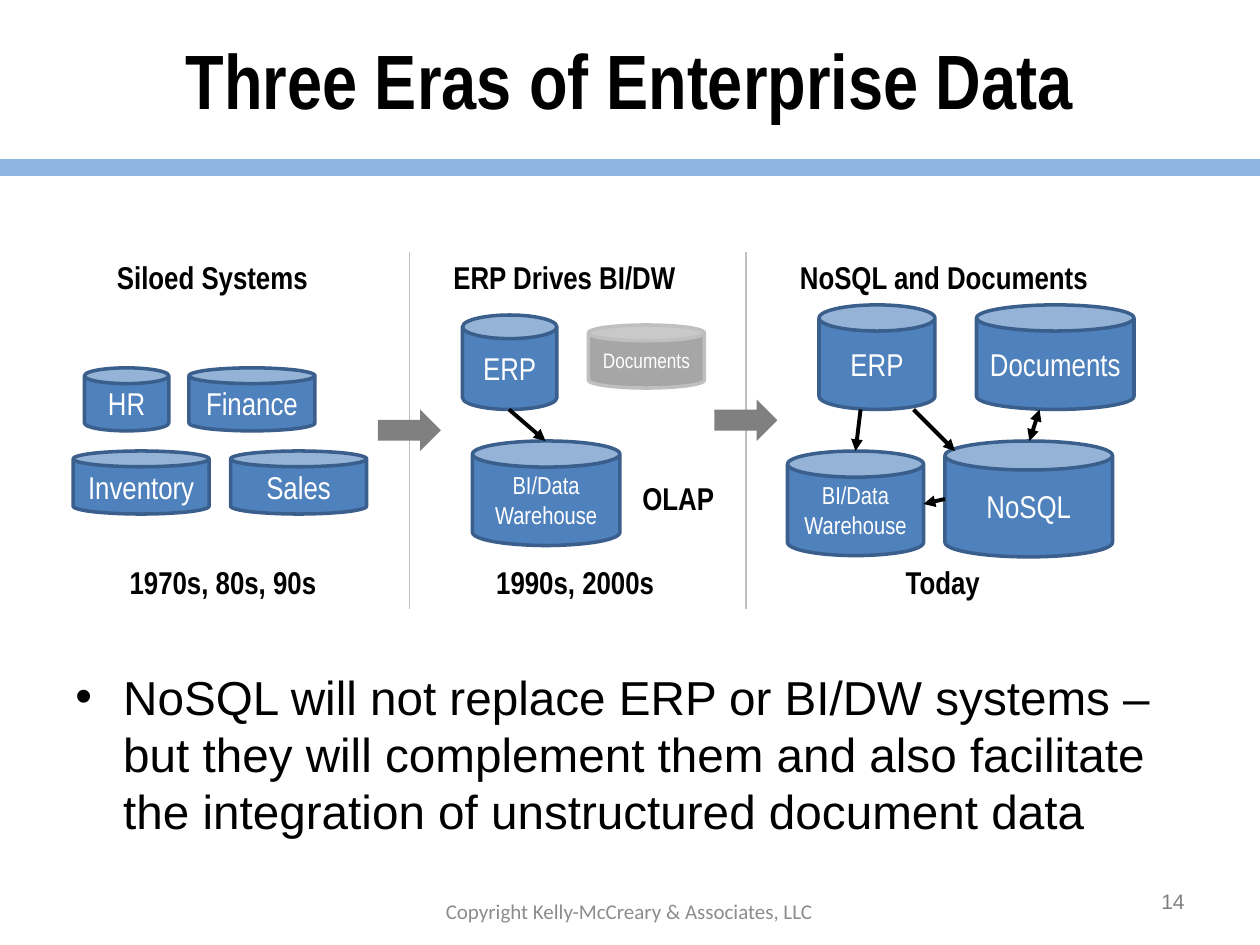
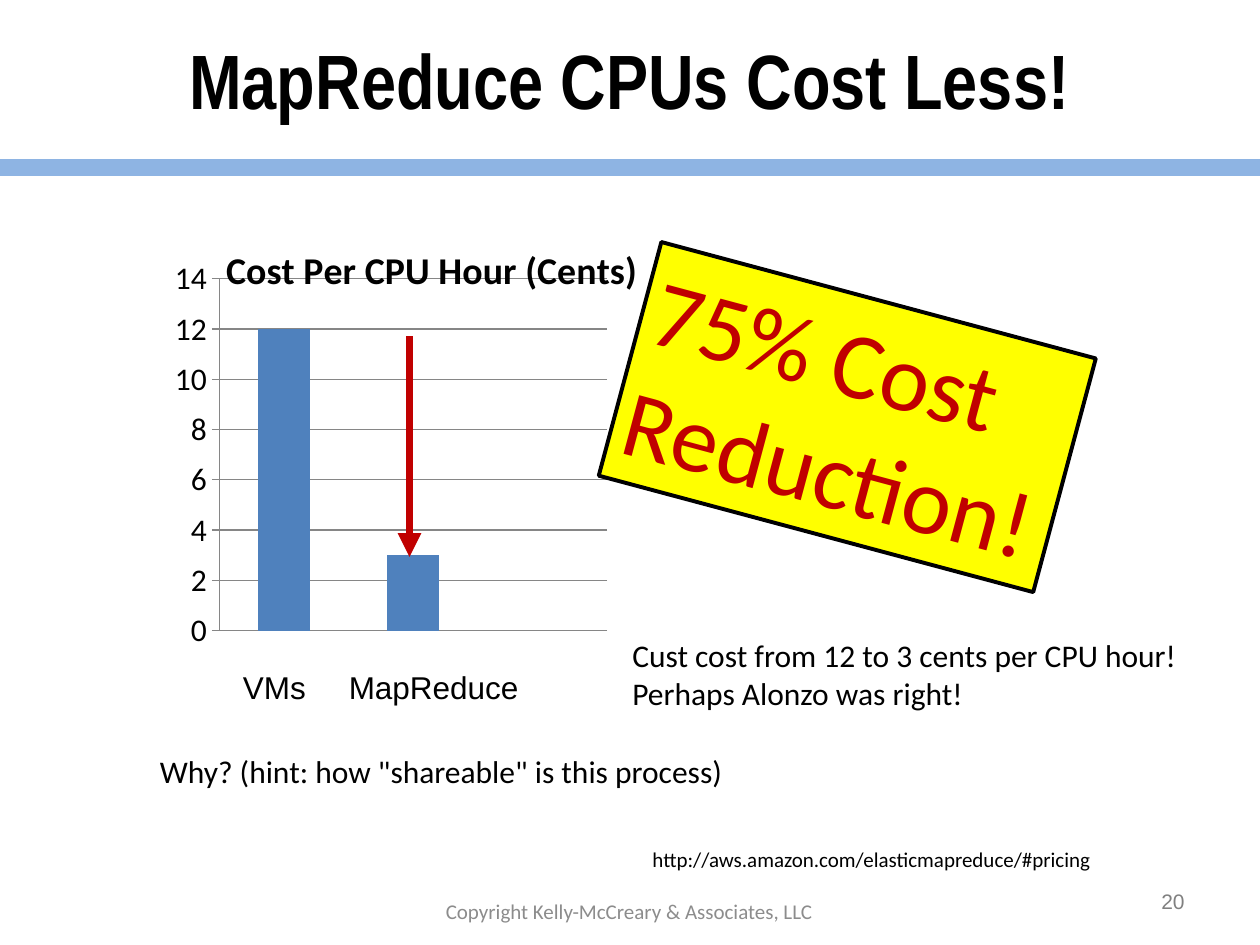
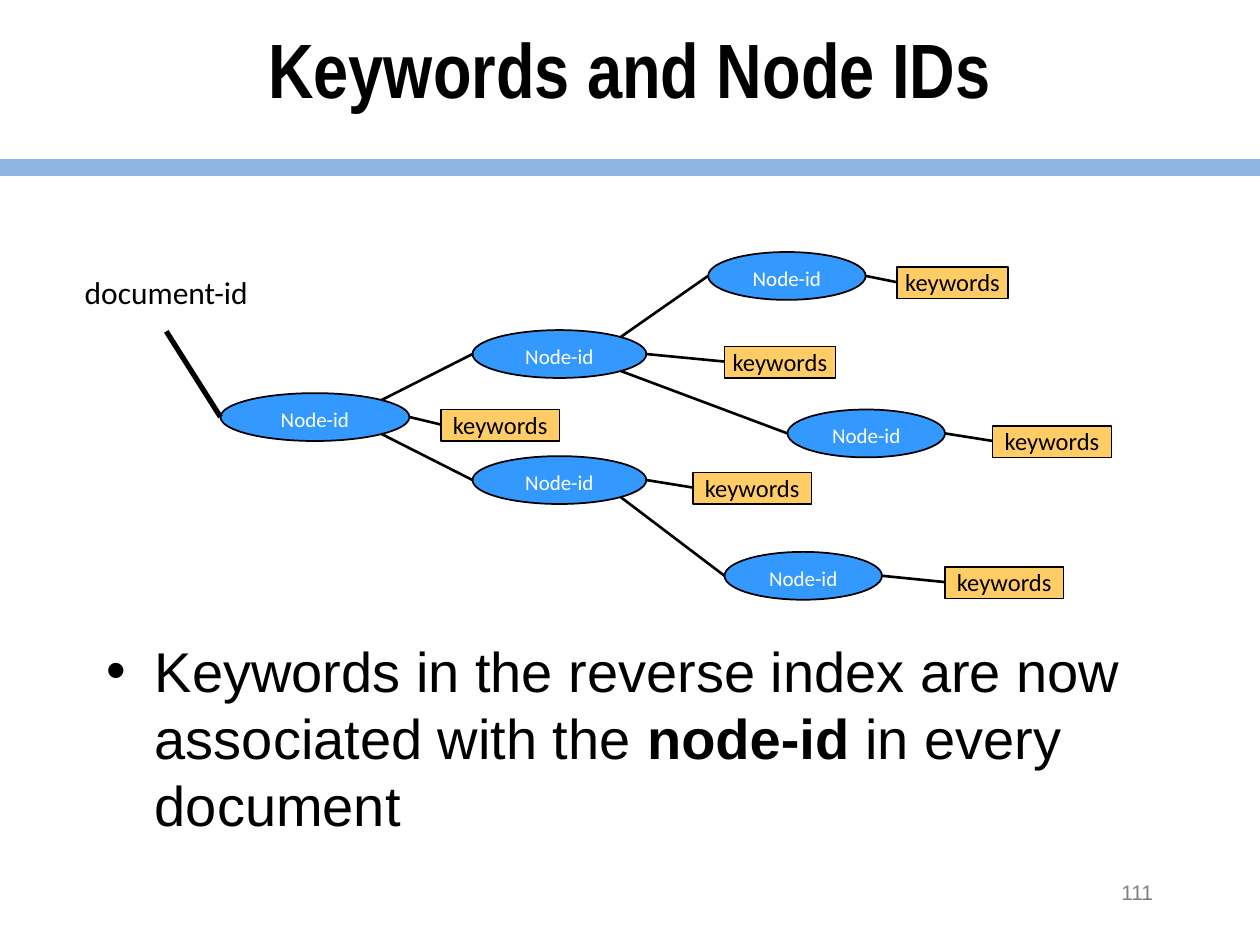
import pptx
import pptx.chart.data
import pptx.dml.color
import pptx.enum.chart
import pptx.enum.shapes
import pptx.enum.text
import pptx.oxml.ns
import pptx.util
from lxml import etree

Inches = pptx.util.Inches
Pt = pptx.util.Pt
SHAPE = pptx.enum.shapes.MSO_SHAPE
ALIGN = pptx.enum.text.PP_ALIGN
ANCHOR = pptx.enum.text.MSO_ANCHOR
qn = pptx.oxml.ns.qn

COLORS = {
    "black": "000000", "white": "FFFFFF", "band": "8EB4E3",
    "number": "808080", "copyright": "8C8C8C",
    "can": "4F81BD", "can edge": "3A5F8C",
    "faded": "A6A6A6", "faded edge": "BFBFBF", "era arrow": "808080",
    "grid": "868686", "red": "C00000", "yellow": "FFFF00",
    "node": "3399FF", "keywords": "FFCC66",
}
HEADING, BODY, NOTE = "Arial Narrow", "Arial", "Calibri"


def rgb(color):
    return pptx.dml.color.RGBColor.from_string(COLORS[color])


def inches(box):
    return [Inches(length) for length in box]


def style_font(font, size, face, color="black", bold=False):
    font.size, font.name, font.bold = Pt(size), face, bold
    font.color.rgb = rgb(color)


def write(shape, text, size, face, color="black", bold=False, align=ALIGN.LEFT,
          anchor=ANCHOR.TOP, wrap=True, inset=None):
    frame = shape.text_frame
    frame.word_wrap = wrap
    frame.vertical_anchor = anchor
    if inset is not None:
        frame.margin_left = frame.margin_right = Inches(inset)
        frame.margin_top = frame.margin_bottom = Inches(inset)
    frame.text = text
    for paragraph in frame.paragraphs:
        paragraph.alignment = align
        for run in paragraph.runs:
            style_font(run.font, size, face, color, bold)


def add_text(slide, box, text, size, face, **style):
    write(slide.shapes.add_textbox(*inches(box)), text, size, face, **style)


def add_figure(slide, kind, box, fill, edge=None, weight=1.0):
    figure = slide.shapes.add_shape(kind, *inches(box))
    figure.shadow.inherit = False
    figure.fill.solid()
    figure.fill.fore_color.rgb = rgb(fill)
    if edge:
        figure.line.color.rgb = rgb(edge)
        figure.line.width = Pt(weight)
    else:
        figure.line.fill.background()
    return figure


def add_line(slide, start, end, weight, color="black", heads=()):
    """Draw a straight line; heads may hold "headEnd" (start) and "tailEnd" (end)."""
    line = slide.shapes.add_connector(
        pptx.enum.shapes.MSO_CONNECTOR.STRAIGHT, *inches(start + end))
    line.line.color.rgb = rgb(color)
    line.line.width = Pt(weight)
    outline = line.line._get_or_add_ln()
    for head in heads:
        etree.SubElement(outline, qn("a:" + head), type="triangle")
    etree.SubElement(line._element.spPr, qn("a:effectLst"))


def add_arrow(slide, start, end, weight=2.25, color="black"):
    add_line(slide, start, end, weight, color, ("tailEnd",))


def add_bullet(slide, box, parts, size):
    """Write one bulleted paragraph in which every second part is bold."""
    frame = slide.shapes.add_textbox(*inches(box)).text_frame
    frame.word_wrap = True
    paragraph = frame.paragraphs[0]
    properties = paragraph._p.get_or_add_pPr()
    properties.set("marL", str(Inches(0.38)))
    properties.set("indent", str(-Inches(0.38)))
    etree.SubElement(properties, qn("a:buFont"), typeface=BODY)
    etree.SubElement(properties, qn("a:buChar"), char="•")
    for index, part in enumerate(parts):
        run = paragraph.add_run()
        run.text = part
        style_font(run.font, size, BODY, bold=index % 2 == 1)


def start_slide(deck, title, number, title_box=(0.5, 0, 9, 1.25),
                number_box=(8.92, 6.95, 0.58, 0.4), has_copyright=True):
    slide = deck.slides.add_slide(deck.slide_layouts[6])
    add_line(slide, (0, 1.33), (10, 1.33), 10, "band")
    add_text(slide, title_box, title, 44, HEADING, bold=True,
             align=ALIGN.CENTER, anchor=ANCHOR.MIDDLE)
    add_text(slide, number_box, number, 12, BODY, color="number",
             align=ALIGN.RIGHT, anchor=ANCHOR.MIDDLE)
    if has_copyright:
        add_text(slide, (2.83, 7.08, 4.33, 0.3), "Copyright Kelly-McCreary & Associates, LLC",
                 12, NOTE, color="copyright", align=ALIGN.CENTER)
    return slide


def add_can(slide, label, box, size=18, fill="can"):
    can = add_figure(slide, SHAPE.CAN, box, fill, fill + " edge", 2)
    write(can, label, size, HEADING, "white", align=ALIGN.CENTER,
          anchor=ANCHOR.MIDDLE, inset=0.05)


def add_eras_slide(deck):
    slide = start_slide(deck, "Three Eras of Enterprise Data", "14")
    for label, left, top, width in (
            ("Siloed Systems", 0.83, 2, 1.74),
            ("ERP Drives BI/DW", 3.5, 2, 1.98),
            ("NoSQL and Documents", 6.25, 2, 2.51),
            ("1970s, 80s, 90s", 0.93, 4.42, 1.71),
            ("1990s, 2000s", 3.84, 4.42, 1.47),
            ("Today", 7.09, 4.42, 0.8),
            ("OLAP", 5, 3.75, 0.78)):
        add_text(slide, (left, top, width, 0.4), label, 18, HEADING, bold=True, wrap=False)

    for label, box in (
            ("HR", (0.67, 2.92, 0.67, 0.5)),
            ("Finance", (1.5, 2.92, 1, 0.5)),
            ("Inventory", (0.58, 3.58, 1.08, 0.5)),
            ("Sales", (1.83, 3.58, 1.08, 0.5)),
            ("ERP", (3.67, 2.5, 0.75, 0.75)),
            ("ERP", (6.5, 2.42, 0.92, 0.83)),
            ("Documents", (7.75, 2.42, 1.25, 0.83)),
            ("NoSQL", (7.5, 3.5, 1.33, 0.92))):
        add_can(slide, label, box)
    for box in ((3.75, 3.5, 1.17, 0.83), (6.25, 3.58, 1.08, 0.83)):
        add_can(slide, "BI/Data\nWarehouse", box, 14)
    add_can(slide, "Documents", (4.67, 2.58, 0.92, 0.5), 12, "faded")

    for start, end in (((4.04, 3.25), (4.33, 3.5)), ((7.25, 3.25), (7.58, 3.58)),
                       ((7.5, 3.96), (7.33, 4)), ((6.83, 3.25), (6.79, 3.58))):
        add_arrow(slide, start, end)
    add_line(slide, (8.25, 3.25), (8.17, 3.5), 2.25, heads=("headEnd", "tailEnd"))

    for divider, arrow_top in ((3.25, 3.25), (5.92, 3.17)):
        add_line(slide, (divider, 2), (divider, 4.83), 0.75, "faded edge")
        add_figure(slide, SHAPE.RIGHT_ARROW, (divider - 0.25, arrow_top, 0.5, 0.33), "era arrow")

    add_bullet(slide, (0.5, 5.25, 9, 1.28), [
        "NoSQL will not replace ERP or BI/DW systems – but they will complement them "
        "and also facilitate the integration of unstructured document data"], 27.2)


def place(parent, position, **layout):
    """Give a chart title or plot area a fixed place, in fractions of the chart."""
    for old in parent.findall(qn("c:layout")):
        parent.remove(old)
    holder = etree.Element(qn("c:layout"))
    manual = etree.SubElement(holder, qn("c:manualLayout"))
    for tag, value in layout.items():
        etree.SubElement(manual, qn("c:" + tag), val=str(value))
    parent.insert(position, holder)


def add_cost_chart(slide):
    name = "Cost Per CPU Hour (Cents)"
    costs = pptx.chart.data.CategoryChartData()
    costs.categories = ["1", "2", ""]
    costs.add_series(name, (12, 3, None))
    chart = slide.shapes.add_chart(pptx.enum.chart.XL_CHART_TYPE.COLUMN_CLUSTERED,
                                   *inches((1.11, 1.67, 7, 4.17)), costs).chart
    style_font(chart.font, 18, NOTE)
    chart.has_legend = False
    chart.has_title = True
    chart.chart_title.text_frame.text = name
    style_font(chart.chart_title.text_frame.paragraphs[0].runs[0].font, 21.6, NOTE, bold=True)
    place(chart.chart_title._element, 1, xMode="edge", yMode="edge", x=0.09, y=0.05)
    place(chart._chartSpace.chart.plotArea, 0, layoutTarget="inner", xMode="edge",
          yMode="edge", x=0.09, y=0.13, w=0.44, h=0.67)

    plot = chart.plots[0]
    plot.gap_width = 150
    plot.vary_by_categories = False
    bars = plot.series[0].format.fill
    bars.solid()
    bars.fore_color.rgb = rgb("can")

    chart.category_axis.visible = False
    cents = chart.value_axis
    cents.minimum_scale, cents.maximum_scale, cents.major_unit = 0, 14, 2
    cents.major_tick_mark = pptx.enum.chart.XL_TICK_MARK.CROSS
    cents.has_major_gridlines = True
    for line in (cents.format.line, cents.major_gridlines.format.line):
        line.color.rgb = rgb("grid")
        line.width = Pt(0.75)


def add_cost_slide(deck):
    slide = start_slide(deck, "MapReduce CPUs Cost Less!", "20")
    add_cost_chart(slide)
    for text, box, size, face in (
            ("VMs", (1.83, 5.25, 0.8, 0.4), 18, BODY),
            ("MapReduce", (2.67, 5.25, 1.56, 0.4), 18, BODY),
            ("Cust cost from 12 to 3 cents per CPU hour!\nPerhaps Alonzo was right!",
             (4.92, 5, 4.57, 0.71), 18, NOTE),
            ('Why? (hint: how "shareable" is this process)', (1.17, 5.92, 4.72, 0.4), 18, NOTE),
            ("http://aws.amazon.com/elasticmapreduce/#pricing",
             (5.08, 6.67, 3.72, 0.3), 12, NOTE)):
        add_text(slide, box, text, size, face, wrap=False)
    add_arrow(slide, (3.25, 2.67), (3.25, 4.42), 4.5, "red")
    callout = add_figure(slide, SHAPE.RECTANGLE, (4.94, 2.35, 3.57, 1.92),
                         "yellow", "black", 2.25)
    callout.rotation = 15
    write(callout, "75% Cost\nReduction!", 54, NOTE, "red", wrap=False)


def add_node(slide, left, top, width, keywords_box):
    """Draw a node and the keywords linked to its right side."""
    node = add_figure(slide, SHAPE.OVAL, (left, top, width, 0.38), "node", "black")
    write(node, "Node-id", 12, NOTE, "white", align=ALIGN.CENTER)
    x, y, keywords_width = keywords_box
    keywords = add_figure(slide, SHAPE.RECTANGLE, (x, y, keywords_width, 0.25),
                          "keywords", "black", 0.75)
    write(keywords, "keywords", 14, NOTE, align=ALIGN.CENTER, inset=0)
    add_line(slide, (left + width, top + 0.19), (x, y + 0.12), 1.5)


def add_branch(slide, parent, child):
    """Link the parent's upper or lower right curve to the child's left end."""
    left, top, width = parent[:3]
    diagonal = 0.85
    drop = diagonal if child[1] > top else 1 - diagonal
    add_line(slide, (left + width * diagonal, top + 0.38 * drop),
             (child[0], child[1] + 0.19), 1.5)


def add_keywords_slide(deck):
    slide = start_slide(deck, "Keywords and Node IDs", "111", (0.75, 0, 8.5, 1.08),
                        (8.67, 6.83, 0.58, 0.5), has_copyright=False)
    root = (1.75, 3.12, 1.5, (3.5, 3.25, 0.94))
    upper = (3.75, 2.62, 1.38, (5.75, 2.75, 0.88))
    lower = (3.75, 3.62, 1.38, (5.5, 3.75, 0.94))
    top_leaf = (5.62, 2, 1.25, (7.12, 2.12, 0.88))
    middle_leaf = (6.25, 3.25, 1.25, (7.88, 3.38, 0.94))
    bottom_leaf = (5.75, 4.38, 1.25, (7.5, 4.5, 0.94))
    for node in (root, upper, lower, top_leaf, middle_leaf, bottom_leaf):
        add_node(slide, *node)
    for parent, child in ((root, upper), (root, lower), (upper, top_leaf),
                          (upper, middle_leaf), (lower, bottom_leaf)):
        add_branch(slide, parent, child)

    add_text(slide, (0.39, 2.12, 1.86, 0.51), "document-id", 18, NOTE,
             align=ALIGN.CENTER, wrap=False)
    add_line(slide, (1.32, 2.63), (1.75, 3.31), 3)
    add_bullet(slide, (0.75, 5, 8.5, 1.88), [
        "Keywords in the reverse index are now associated with the ",
        "node-id", " in every document"], 32)


def main():
    deck = pptx.Presentation()
    deck.slide_width, deck.slide_height = Inches(10), Inches(7.5)
    add_eras_slide(deck)
    add_cost_slide(deck)
    add_keywords_slide(deck)
    deck.save("out.pptx")


if __name__ == "__main__":
    main()
